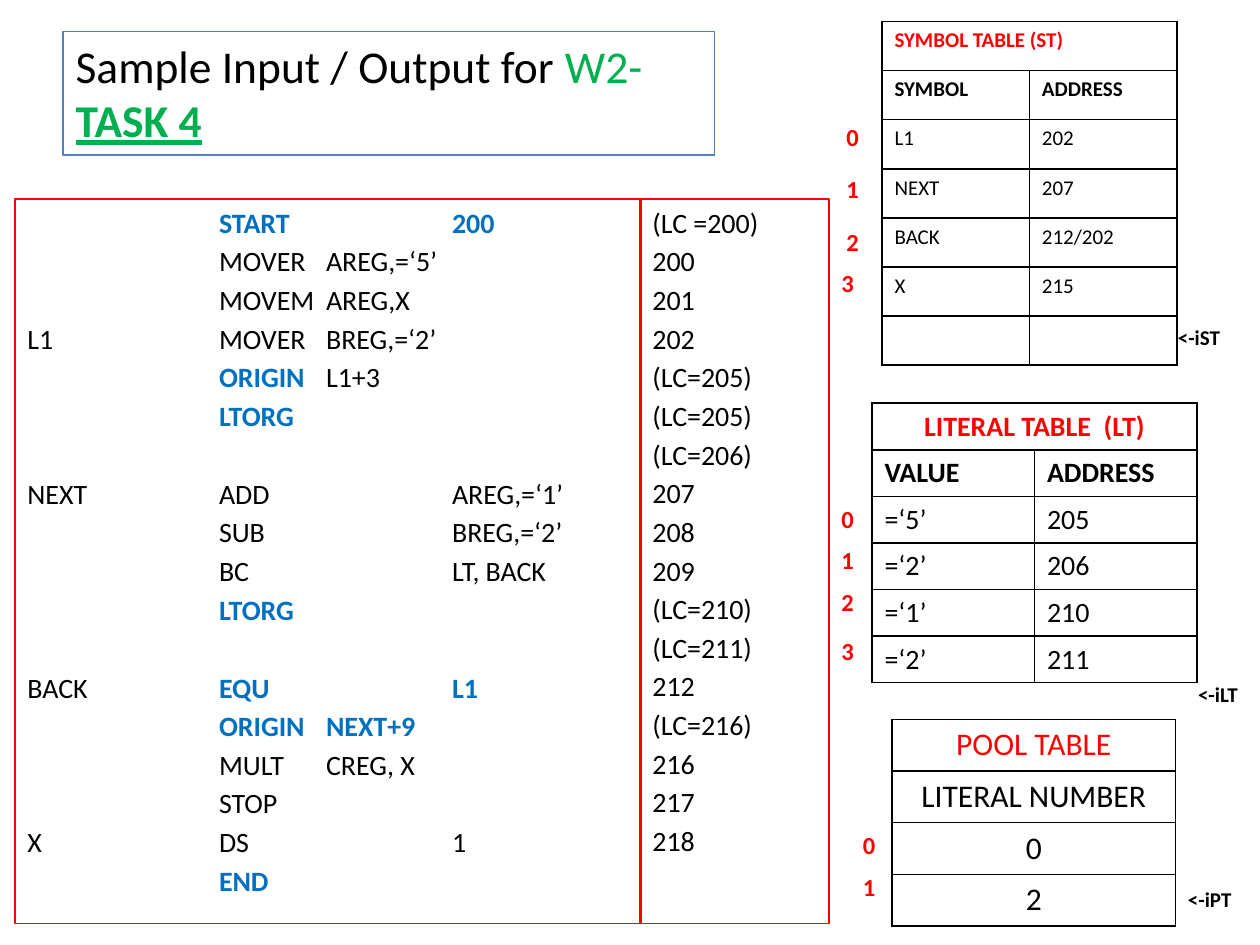
from lxml import etree
from pptx import Presentation
from pptx.dml.color import RGBColor
from pptx.enum.shapes import MSO_SHAPE
from pptx.enum.text import MSO_ANCHOR, MSO_AUTO_SIZE, PP_ALIGN
from pptx.oxml.ns import qn
from pptx.util import Inches, Pt

RECTANGLE = MSO_SHAPE.RECTANGLE
TOP = MSO_ANCHOR.TOP
FIT_SHAPE = MSO_AUTO_SIZE.SHAPE_TO_FIT_TEXT
LEFT, CENTER = PP_ALIGN.LEFT, PP_ALIGN.CENTER
BLACK, RED, BLUE, GREEN = "000000", "FF0000", "0070C0", "00B050"
LINE_GAP, LINE_HEIGHT = 2.9, 19.5  # points, for 16 pt code
TAB_STOPS = (1.52, 2.37, 3.37)     # opcode, near operand, far operand


def add_run(paragraph, text, size, color=BLACK, bold=False):
    run = paragraph.add_run()
    run.text = text
    run.font.name = "Calibri"
    run.font.size = Pt(size)
    run.font.bold = bold
    run.font.color.rgb = RGBColor.from_string(color)
    return run


def add_border(cell):
    """Draw a thin black line on all four sides of a table cell."""
    properties = cell._tc.get_or_add_tcPr()
    for position, side in enumerate(("a:lnL", "a:lnR", "a:lnT", "a:lnB")):
        line = etree.Element(qn(side), w=str(Pt(1)))
        fill = etree.SubElement(line, qn("a:solidFill"))
        etree.SubElement(fill, qn("a:srgbClr"), val=BLACK)
        properties.insert(position, line)


prs = Presentation()
prs.slide_width, prs.slide_height = Inches(10), Inches(7.5)
slide = prs.slides.add_slide(prs.slide_layouts[5])

# Title
title = slide.shapes.title
title.left, title.top = Inches(0.5), Inches(0.25)
title.width, title.height = Inches(5.17), Inches(0.98)
title.line.color.rgb = RGBColor.from_string("4F81BD")
title.line.width = Pt(0.75)
title.text_frame.vertical_anchor = TOP
title.text_frame.auto_size = FIT_SHAPE
heading = title.text_frame.paragraphs[0]
heading.alignment = LEFT
add_run(heading, "Sample Input / Output for ", 26)
add_run(heading, "W2-", 26, GREEN)
add_run(heading, "TASK 4", 26, GREEN, True).font.underline = True

# Program listing: label, opcode, operand, number of blue parts.
# A second tab puts the operand in the far column; None skips a line.
program = [
    ("", "START", "\t\t200", 2),
    ("", "MOVER", "\tAREG,=‘5’", 0),
    ("", "MOVEM", "\tAREG,X", 0),
    ("L1", "MOVER", "\tBREG,=‘2’", 0),
    ("", "ORIGIN", "\tL1+3", 1),
    ("", "LTORG", "", 1),
    None,
    ("NEXT", "ADD", "\t\tAREG,=‘1’", 0),
    ("", "SUB", "\t\tBREG,=‘2’", 0),
    ("", "BC", "\t\tLT, BACK", 0),
    ("", "LTORG", "", 1),
    None,
    ("BACK", "EQU", "\t\tL1", 2),
    ("", "ORIGIN", "\tNEXT+9", 2),
    ("", "MULT", "\tCREG, X", 0),
    ("", "STOP", "", 0),
    ("X", "DS", "\t\t1", 0),
    ("", "END", "", 1),
]
counters = ["(LC =200)", "200", "201", "202", "(LC=205)", "(LC=205)",
            "(LC=206)", "207", "208", "209", "(LC=210)", "(LC=211)",
            "212", "(LC=216)", "216", "217", "218"]
counter_lines = [(counter, "", "", 0) for counter in counters]

for left, width, lines in ((0.12, 4.97, program), (5.08, 1.5, counter_lines)):
    panel = slide.shapes.add_shape(
        RECTANGLE, Inches(left), Inches(1.58), Inches(width), Inches(5.75))
    panel.shadow.inherit = False
    panel.fill.background()
    panel.line.color.rgb = RGBColor.from_string(RED)
    panel.line.width = Pt(0.75)
    frame = panel.text_frame
    frame.word_wrap = True
    frame.vertical_anchor = TOP
    paragraph = frame.paragraphs[0]
    gap = LINE_GAP
    for number, line in enumerate(lines):
        if line is None:
            gap += LINE_HEIGHT + LINE_GAP
            continue
        if number:
            paragraph = frame.add_paragraph()
        paragraph.alignment = LEFT
        paragraph.space_before = Pt(gap)
        gap = LINE_GAP
        label, opcode, operand, blue_parts = line
        if opcode:
            tabs = etree.SubElement(paragraph._p.get_or_add_pPr(), qn("a:tabLst"))
            for stop in TAB_STOPS:
                etree.SubElement(tabs, qn("a:tab"), pos=str(Inches(stop)), algn="l")
            label += "\t"
        add_run(paragraph, label, 16)
        for part, text in enumerate((opcode, operand)):
            if text:
                is_blue = part < blue_parts
                add_run(paragraph, text, 16, BLUE if is_blue else BLACK, is_blue)

# Tables: left, top, column width, row height, text size, alignment,
# number of bold rows, rows
symbol_rows = [["SYMBOL TABLE (ST)"], ["SYMBOL", "ADDRESS"], ["L1", "202"],
               ["NEXT", "207"], ["BACK", "212/202"], ["X", "215"], ["", ""]]
literal_rows = [["LITERAL TABLE  (LT)"], ["VALUE", "ADDRESS"], ["=‘5’", "205"],
                ["=‘2’", "206"], ["=‘1’", "210"], ["=‘2’", "211"]]
pool_rows = [["POOL TABLE"], ["LITERAL NUMBER"], ["0"], ["2"]]
tables = [
    (7, 0.17, 1.17, 0.39, 12, LEFT, 2, symbol_rows),
    (6.92, 3.2, 1.29, 0.37, 16, LEFT, 2, literal_rows),
    (7.08, 5.71, 2.25, 0.41, 18, CENTER, 0, pool_rows),
]
for left, top, column_width, row_height, size, align, bold_rows, rows in tables:
    columns = len(rows[1])
    table = slide.shapes.add_table(
        len(rows), columns, Inches(left), Inches(top),
        Inches(column_width * columns), Inches(row_height * len(rows))).table
    for column in table.columns:
        column.width = Inches(column_width)
    for row in table.rows:
        row.height = Inches(row_height)
    for cell in table.iter_cells():
        cell.fill.background()
        add_border(cell)
        cell.text_frame.paragraphs[0].font.size = Pt(size)
    if columns > 1:
        table.cell(0, 0).merge(table.cell(0, columns - 1))
    for r, row in enumerate(rows):
        for c, text in enumerate(row):
            paragraph = table.cell(r, c).text_frame.paragraphs[0]
            paragraph.alignment = align
            if text:
                add_run(paragraph, text, size, RED if r == 0 else BLACK, r < bold_rows)
    if rows is literal_rows:
        table.cell(0, 0).text_frame.paragraphs[0].alignment = CENTER

# Row indexes and next-free-row pointers beside the tables
index_places = [
    [(6.62, 0.92), (6.62, 1.33), (6.62, 1.75), (6.58, 2.08)],
    [(6.58, 3.95), (6.58, 4.28), (6.58, 4.61), (6.58, 5)],
    [(6.75, 6.54), (6.75, 6.87)],
]
markers = [(str(index), left, top, 0.3, 0.34, 14, RED)
           for places in index_places
           for index, (left, top) in enumerate(places)]
markers += [
    ("<-iST", 9.25, 2.53, 0.54, 0.3, 12, BLACK),
    ("<-iLT", 9.41, 5.36, 0.52, 0.3, 12, BLACK),
    ("<-iPT", 9.33, 6.99, 0.55, 0.3, 12, BLACK),
]
for text, left, top, width, height, size, color in markers:
    marker = slide.shapes.add_textbox(
        Inches(left), Inches(top), Inches(width), Inches(height))
    marker.text_frame.word_wrap = False
    marker.text_frame.auto_size = FIT_SHAPE
    add_run(marker.text_frame.paragraphs[0], text, size, color, True)

prs.save("out.pptx")
